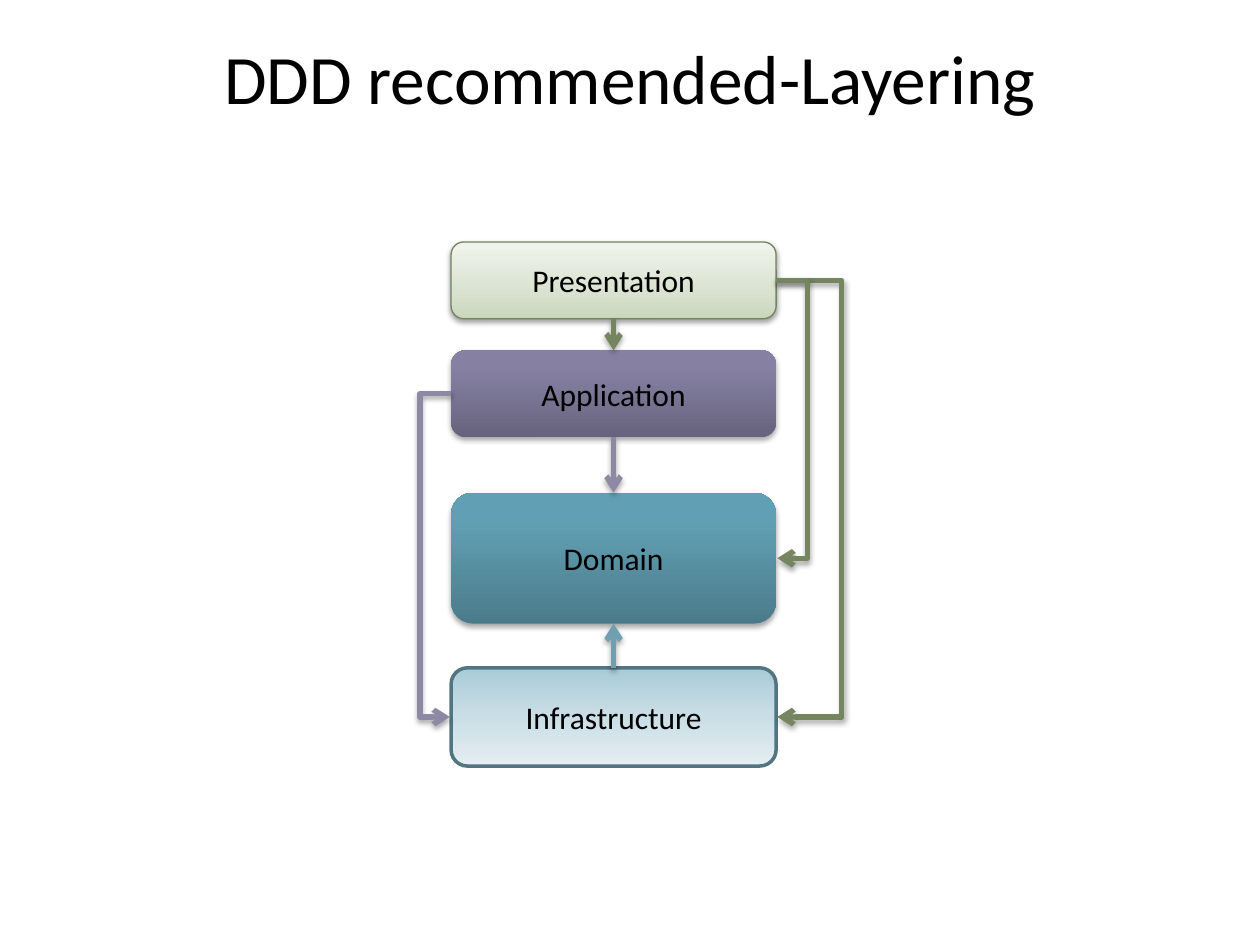
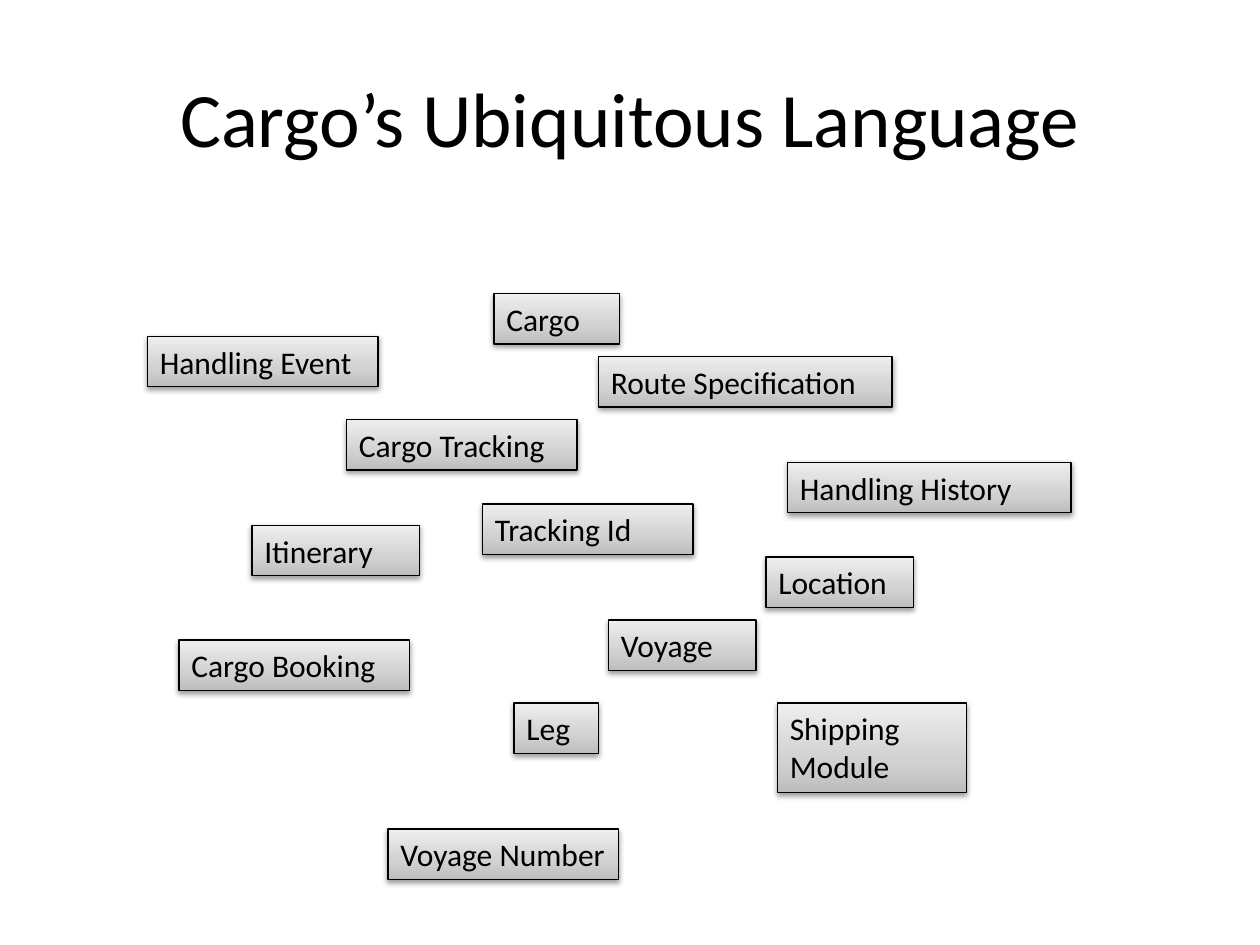
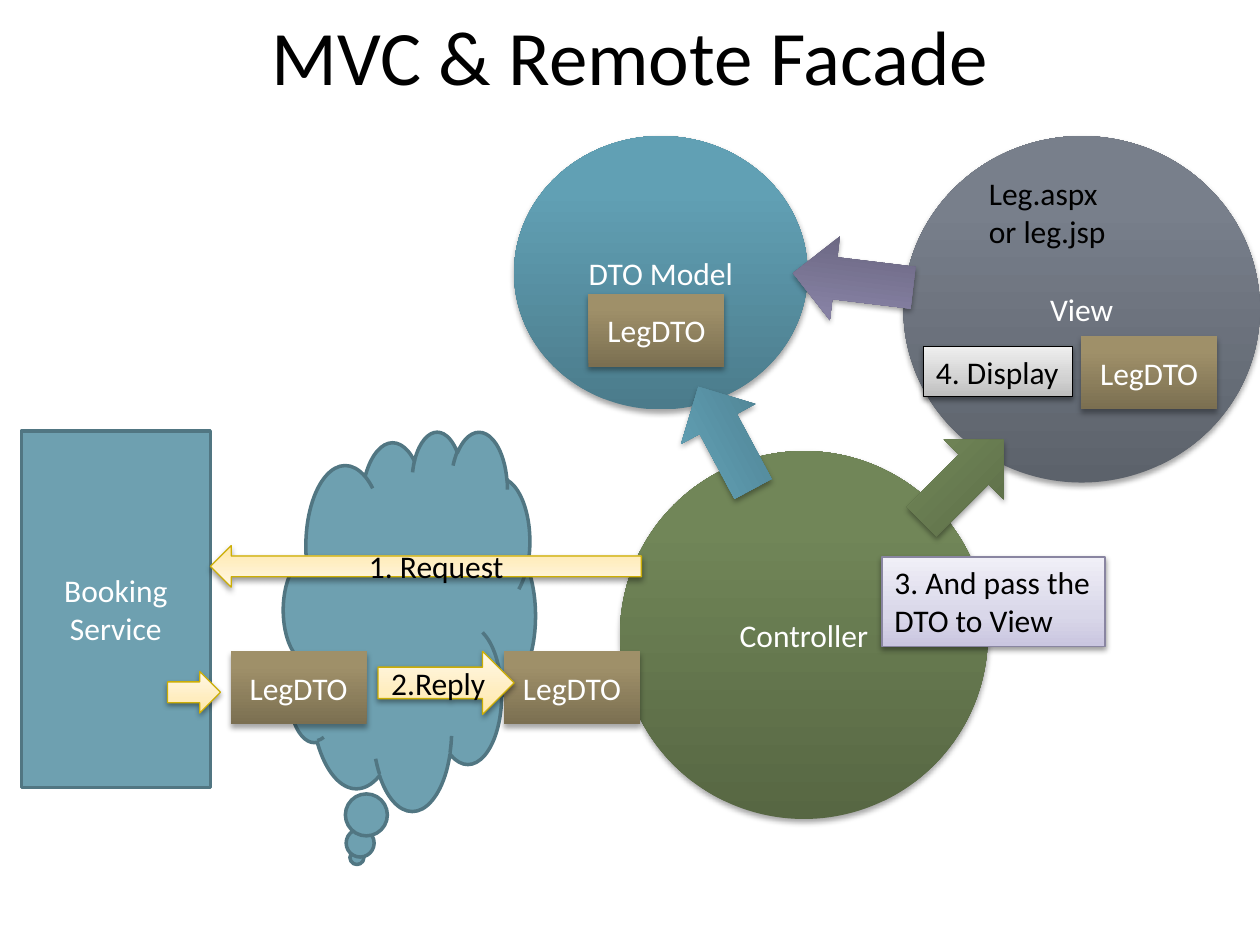
from lxml import etree
from pptx import Presentation
from pptx.dml.color import RGBColor
from pptx.enum.shapes import MSO_CONNECTOR, MSO_SHAPE
from pptx.enum.text import MSO_ANCHOR, MSO_AUTO_SIZE, PP_ALIGN
from pptx.oxml.ns import qn
from pptx.util import Inches, Pt

# Shared look
FONT, BODY_SIZE = "Calibri", 18
BLACK, WHITE = "000000", "FFFFFF"
OLIVE, LILAC, TEAL = "748560", "8D89A4", "6EA0B0"
TITLE_ONLY = 5
LIFTED, SOFT = (35, 1.8), (38, 1.6)  # shadow opacity in %, distance in pt

# style: (gradient stops from start to end, upward?, (line colour, pt), shadow)
STYLES = {
    "green": ([(0, "576743"), (80, "718658"), (100, "718857")], True, None, LIFTED),
    "purple": ([(0, "67637D"), (80, "8681A3"), (100, "8681A4")], True, None, LIFTED),
    "blue": ([(0, "4B7B8B"), (80, "61A0B4"), (100, "60A2B7")], True, None, LIFTED),
    "slate": ([(0, "5C626B"), (80, "787F8B"), (100, "78808C")], True, None, LIFTED),
    "tan": ([(0, "7B6F51"), (80, "9F9069"), (100, "A19169")], True, None, LIFTED),
    "pale green": ([(0, "C9D7BC"), (35, "D9E2D0"), (100, "F1F4ED")], True,
                   ("72835D", 0.75), SOFT),
    "pale blue": ([(0, "A9CBD8"), (50, "CADEE6"), (100, "E5EEF2")], False,
                  ("517682", 2), None),
    "pale purple": ([(0, "CAC6E0"), (35, "D9D7E9"), (100, "F0EFF7")], True,
                    ("8985A1", 0.75), SOFT),
    "pale yellow": ([(0, "FFE7A5"), (35, "FFEDBF"), (100, "FFF8E7")], True,
                    ("CCAE05", 0.75), SOFT),
    "grey": ([(0, "BDBDBD"), (35, "D1D1D1"), (100, "EEEEEE")], True,
             (BLACK, 0.75), SOFT),
    "flat": ([(0, TEAL)], True, ("517682", 2), None),
}

# Slide 1: layers (name, style, top, height)
LAYER_LEFT, LAYER_WIDTH = 3.58, 2.58
LAYERS = [
    ("Presentation", "pale green", 1.92, 0.61),
    ("Application", "purple", 2.78, 0.69),
    ("Domain", "blue", 3.91, 1.04),
    ("Infrastructure", "pale blue", 5.3, 0.78),
]
# (from, to, colour, sideways reach: 0 is straight, negative is left)
DEPENDENCIES = [
    ("Presentation", "Infrastructure", OLIVE, 0.53),
    ("Presentation", "Domain", OLIVE, 0.25),
    ("Presentation", "Application", OLIVE, 0),
    ("Application", "Infrastructure", LILAC, -0.25),
    ("Application", "Domain", LILAC, 0),
    ("Infrastructure", "Domain", TEAL, 0),
]

# Slide 2: terms (text, left, top, width)
TERMS = [
    ("Cargo", 3.92, 2.33, 1),
    ("Route Specification", 4.75, 2.83, 2.33),
    ("Itinerary", 2, 4.17, 1.33),
    ("Tracking Id", 3.83, 4, 1.67),
    ("Location", 6.08, 4.42, 1.17),
    ("Leg", 4.08, 5.58, 0.67),
    ("Voyage", 4.83, 4.92, 1.17),
    ("Cargo Booking", 1.42, 5.08, 1.83),
    ("Handling Event", 1.17, 2.67, 1.83),
    ("Handling History", 6.25, 3.67, 2.25),
    ("Shipping Module", 6.17, 5.58, 1.5),
    ("Cargo Tracking", 2.75, 3.33, 1.83),
    ("Voyage Number", 3.08, 6.58, 1.83),
]
LINE_BOX, TWO_LINE_BOX = 0.4, 0.71

# Slide 3: participants (preset, style, box, text)
PARTICIPANTS = [
    (MSO_SHAPE.OVAL, "green", (4.92, 3.58, 2.92, 2.92), "Controller"),
    (MSO_SHAPE.OVAL, "blue", (4.08, 1.08, 2.33, 2.17), "DTO Model"),
    (MSO_SHAPE.OVAL, "slate", (7.17, 1.08, 2.83, 2.75), "View"),
    (MSO_SHAPE.CLOUD_CALLOUT, "flat", (2.25, 3.42, 2, 3.01), ""),
    (MSO_SHAPE.RECTANGLE, "flat", (0.17, 3.42, 1.5, 2.83), "Booking Service"),
]
DTO_SPOTS = [(1.83, 5.17), (4, 5.17), (4.67, 2.33), (8.58, 2.67)]
DTO_SIZE = (1.08, 0.58)
# (style, box, rotation, text)
FLOWS = [
    ("pale yellow", (1.67, 4.33, 3.42, 0.33), 180, ""),
    ("pale yellow", (1.33, 5.33, 0.42, 0.33), 0, ""),
    ("pale yellow", (3, 5.17, 1.08, 0.5), 0, "2.Reply"),
    ("green", (7.18, 3.48, 0.92, 0.67), 315, ""),
    ("blue", (5.3, 3.14, 0.92, 0.67), 241.8, ""),
    ("purple", (6.29, 1.89, 0.96, 0.67), 186.9, ""),
]
# (text, style, box, wraps)
CAPTIONS = [
    ("1. Request", None, (2.83, 4.29, 1.28, LINE_BOX), True),
    ("4. Display", "grey", (7.33, 2.75, 1.18, LINE_BOX), False),
    ("3. And pass the\nDTO to View", "pale purple", (7, 4.42, 1.77, TWO_LINE_BOX), False),
    ("Leg.aspx\nor leg.jsp", None, (7.75, 1.33, 1.13, TWO_LINE_BOX), False),
]


def rgb(value):
    return RGBColor.from_string(value)


def add_child(parent, tag, **attributes):
    child = etree.SubElement(parent, qn(tag))
    for key, value in attributes.items():
        child.set(key, str(value))
    return child


def set_shadow(shape, shadow):
    """Give the shape its own effect list; call after fill and line."""
    effects = add_child(shape._element.spPr, "a:effectLst")
    if shadow:
        opacity, distance = shadow
        outer = add_child(effects, "a:outerShdw", blurRad=Pt(3.15), dist=Pt(distance),
                          dir=90 * 60000, rotWithShape=0)
        color = add_child(outer, "a:srgbClr", val=BLACK)
        add_child(color, "a:alpha", val=opacity * 1000)


def apply_style(shape, style):
    stops, upward, outline, shadow = STYLES[style]
    if len(stops) == 1:
        shape.fill.solid()
        shape.fill.fore_color.rgb = rgb(stops[0][1])
    else:
        shape.fill.gradient()
        shape.fill.gradient_angle = 90 if upward else 270
        stop_list = shape._element.spPr.find(qn("a:gradFill")).find(qn("a:gsLst"))
        for old_stop in list(stop_list):
            stop_list.remove(old_stop)
        for position, color in stops:
            stop = add_child(stop_list, "a:gs", pos=position * 1000)
            add_child(stop, "a:srgbClr", val=color)
    if outline:
        shape.line.color.rgb = rgb(outline[0])
        shape.line.width = Pt(outline[1])
    else:
        shape.line.fill.background()
    set_shadow(shape, shadow)


def write(shape, text, color, size=BODY_SIZE, align=PP_ALIGN.CENTER):
    shape.text_frame.text = text
    for paragraph in shape.text_frame.paragraphs:
        paragraph.alignment = align
        paragraph.font.name = FONT
        paragraph.font.size = Pt(size)
        paragraph.font.color.rgb = rgb(color)


def add_slide(deck, title, top, height, size=44):
    slide = deck.slides.add_slide(deck.slide_layouts[TITLE_ONLY])
    heading = slide.shapes.title
    heading.left, heading.top = Inches(0.5), Inches(top)
    heading.width, heading.height = Inches(9), Inches(height)
    write(heading, title, BLACK, size)
    heading.text_frame.vertical_anchor = MSO_ANCHOR.MIDDLE
    return slide


def add_block(slide, preset, style, box, text="", color=WHITE, rotation=0):
    block = slide.shapes.add_shape(preset, *map(Inches, box))
    block.rotation = rotation
    apply_style(block, style)
    if text:
        write(block, text, color)
        block.text_frame.vertical_anchor = MSO_ANCHOR.MIDDLE
    return block


def add_label(slide, text, style, box, wraps=True):
    label = slide.shapes.add_textbox(*map(Inches, box))
    if style:
        apply_style(label, style)
    write(label, text, BLACK, align=PP_ALIGN.LEFT)
    label.text_frame.word_wrap = wraps
    label.text_frame.auto_size = MSO_AUTO_SIZE.SHAPE_TO_FIT_TEXT


def add_dependency(slide, source, target, color, reach):
    if reach:
        # The elbow's bend is a share of its width, so the ends differ by a hair
        hair = Inches(0.01)
        edge = source.left + source.width if reach > 0 else source.left
        end = edge + hair if reach > 0 else edge - hair
        arrow = slide.shapes.add_connector(
            MSO_CONNECTOR.ELBOW, edge, source.top + source.height // 2,
            end, target.top + target.height // 2)
        guides = arrow._element.spPr.find(qn("a:prstGeom")).find(qn("a:avLst"))
        bend = round(abs(Inches(reach)) / hair * 100000)
        add_child(guides, "a:gd", name="adj1", fmla=f"val {bend}")
    else:
        top_site, bottom_site = 0, 2
        downward = source.top < target.top
        arrow = slide.shapes.add_connector(MSO_CONNECTOR.STRAIGHT, 0, 0, 0, 0)
        arrow.begin_connect(source, bottom_site if downward else top_site)
        arrow.end_connect(target, top_site if downward else bottom_site)
    arrow.line.color.rgb = rgb(color)
    arrow.line.width = Pt(3)
    add_child(arrow.line._get_or_add_ln(), "a:tailEnd", type="arrow")
    set_shadow(arrow, LIFTED)


def build_layering(deck):
    slide = add_slide(deck, "DDD recommended-Layering", 0.3, 0.62, 39.6)
    layers = {
        name: add_block(slide, MSO_SHAPE.ROUNDED_RECTANGLE, style,
                        (LAYER_LEFT, top, LAYER_WIDTH, height), name, BLACK)
        for name, style, top, height in LAYERS
    }
    for source, target, color, reach in DEPENDENCIES:
        add_dependency(slide, layers[source], layers[target], color, reach)


def build_language(deck):
    slide = add_slide(deck, "Cargo’s Ubiquitous Language", 0.3, 1.25)
    for term, left, top, width in TERMS:
        height = TWO_LINE_BOX if term == "Shipping Module" else LINE_BOX
        add_label(slide, term, "grey", (left, top, width, height))


def build_facade(deck):
    slide = add_slide(deck, "MVC & Remote Facade", 0, 0.87)
    for preset, style, box, name in PARTICIPANTS:
        add_block(slide, preset, style, box, name)
    for spot in DTO_SPOTS:
        add_block(slide, MSO_SHAPE.RECTANGLE, "tan", spot + DTO_SIZE, "LegDTO")
    for style, box, rotation, step in FLOWS:
        add_block(slide, MSO_SHAPE.RIGHT_ARROW, style, box, step, BLACK, rotation)
    for caption in CAPTIONS:
        add_label(slide, *caption)


def main():
    deck = Presentation()
    deck.slide_width, deck.slide_height = Inches(10), Inches(7.5)
    build_layering(deck)
    build_language(deck)
    build_facade(deck)
    deck.save("out.pptx")


if __name__ == "__main__":
    main()
